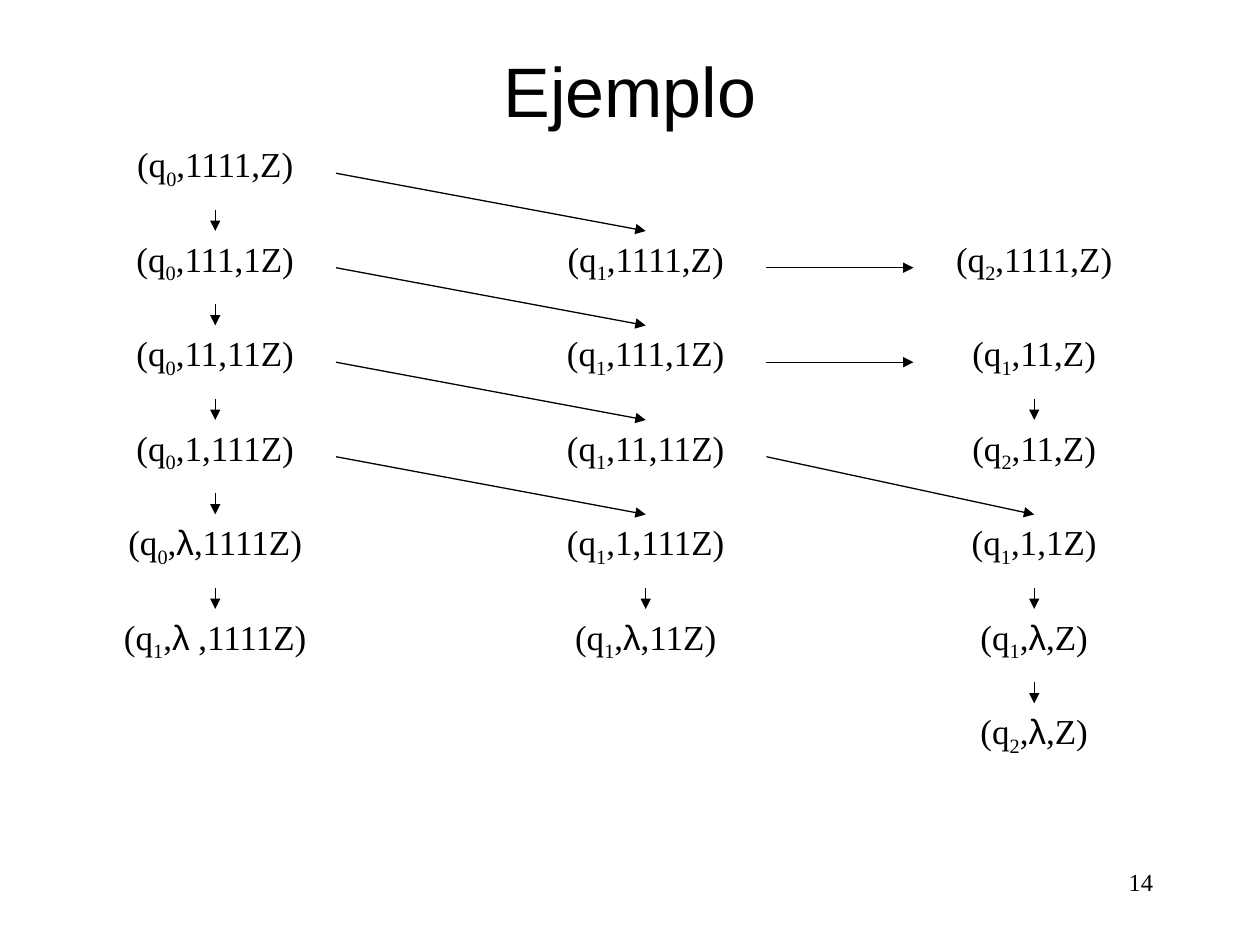
from pptx import Presentation
from pptx import util as u
from pptx.dml.color import RGBColor
from pptx.enum import shapes, text
from pptx.oxml.ns import qn
from lxml import etree

PX = 7620  # EMU per px, 120 px to the inch
COLORS = {"ink": "000000", "paper": "FFFFFF"}
SANS, SERIF = "Arial", "Times New Roman"
TOP, LEFT, BOTTOM, RIGHT = range(4)


class SlideWriter:
    def __init__(self, page):
        self.page = page
        self.ink = RGBColor.from_string(COLORS["ink"])
        page.background.fill.solid()
        page.background.fill.fore_color.rgb = RGBColor.from_string(COLORS["paper"])

    def style(self, span, font, size):
        span.font.name = font
        span.font.size = u.Pt(size)
        span.font.color.rgb = self.ink

    def box(self, left, top, width, height, align):
        box = self.page.shapes.add_textbox(*(n * PX for n in (left, top, width, height)))
        box.text_frame.word_wrap = True
        box.text_frame.paragraphs[0].alignment = align
        return box

    def label(self, words, area, align, font, size, anchor=text.MSO_ANCHOR.TOP):
        box = self.box(*area, align)
        box.text_frame.vertical_anchor = anchor
        para = box.text_frame.paragraphs[0]
        para.text = words
        self.style(para.runs[0], font, size)

    def configuration(self, state, rest, area):
        """Write (q<state>,<rest>) with the state number as a subscript."""
        box = self.box(*area, text.PP_ALIGN.CENTER)
        para = box.text_frame.paragraphs[0]
        before, symbol, after = rest.rpartition("λ")
        for words in ("(q", state, "," + before, symbol, after + ")"):
            if not words:
                continue
            span = para.add_run()
            span.text = words
            self.style(span, SANS if words == "λ" else SERIF, 20)
            if words == state:
                span.font._element.set("baseline", "-25000")
        return box

    def arrow(self, start, start_side, end, end_side):
        line = self.page.shapes.add_connector(shapes.MSO_CONNECTOR.STRAIGHT, 0, 0, 0, 0)
        line.begin_connect(start, start_side)
        line.end_connect(end, end_side)
        line.line.color.rgb = self.ink
        line.line.width = u.Pt(0.75)
        etree.SubElement(line.line._get_or_add_ln(), qn("a:tailEnd"), type="triangle")
        etree.SubElement(line._element.spPr, qn("a:effectLst"))


def main():
    deck = Presentation()
    deck.slide_width, deck.slide_height = 1200 * PX, 900 * PX
    writer = SlideWriter(deck.slides.add_slide(deck.slide_layouts[6]))

    # Title
    writer.label("Ejemplo", (90, 30, 1020, 110), text.PP_ALIGN.CENTER, SANS, 40,
                 text.MSO_ANCHOR.MIDDLE)

    # Configurations: left edge, first row, then state and rest for each row
    columns = [
        (90, 0, [("0", "1111,Z"), ("0", "111,1Z"), ("0", "11,11Z"),
                 ("0", "1,111Z"), ("0", "λ,1111Z"), ("1", "λ ,1111Z")]),
        (500, 1, [("1", "1111,Z"), ("1", "111,1Z"), ("1", "11,11Z"),
                  ("1", "1,111Z"), ("1", "λ,11Z")]),
        (870, 1, [("2", "1111,Z"), ("1", "11,Z"), ("2", "11,Z"),
                  ("1", "1,1Z"), ("1", "λ,Z"), ("2", "λ,Z")]),
    ]
    boxes = {}
    for col, (left, first_row, entries) in enumerate(columns):
        for row, (state, rest) in enumerate(entries, first_row):
            area = (left, 130 + 90 * row, 230, 70)
            boxes[col, row] = writer.configuration(state, rest, area)

    # Transitions down, across and diagonally, by (column, row) of the start
    down = [(0, 0), (0, 1), (0, 2), (0, 3), (0, 4), (1, 4), (2, 2), (2, 4), (2, 5)]
    across = [(1, 1), (1, 2)]
    diagonal = [(0, 0), (0, 1), (0, 2), (0, 3), (1, 3)]
    moves = [(down, 0, 1, BOTTOM, TOP), (across, 1, 0, RIGHT, LEFT),
             (diagonal, 1, 1, RIGHT, TOP)]
    for starts, cols, rows, start_side, end_side in moves:
        for col, row in starts:
            writer.arrow(boxes[col, row], start_side,
                         boxes[col + cols, row + rows], end_side)

    # Page number
    writer.label("14", (860, 820, 250, 60), text.PP_ALIGN.RIGHT, SERIF, 14)

    deck.save("out.pptx")


if __name__ == "__main__":
    main()
